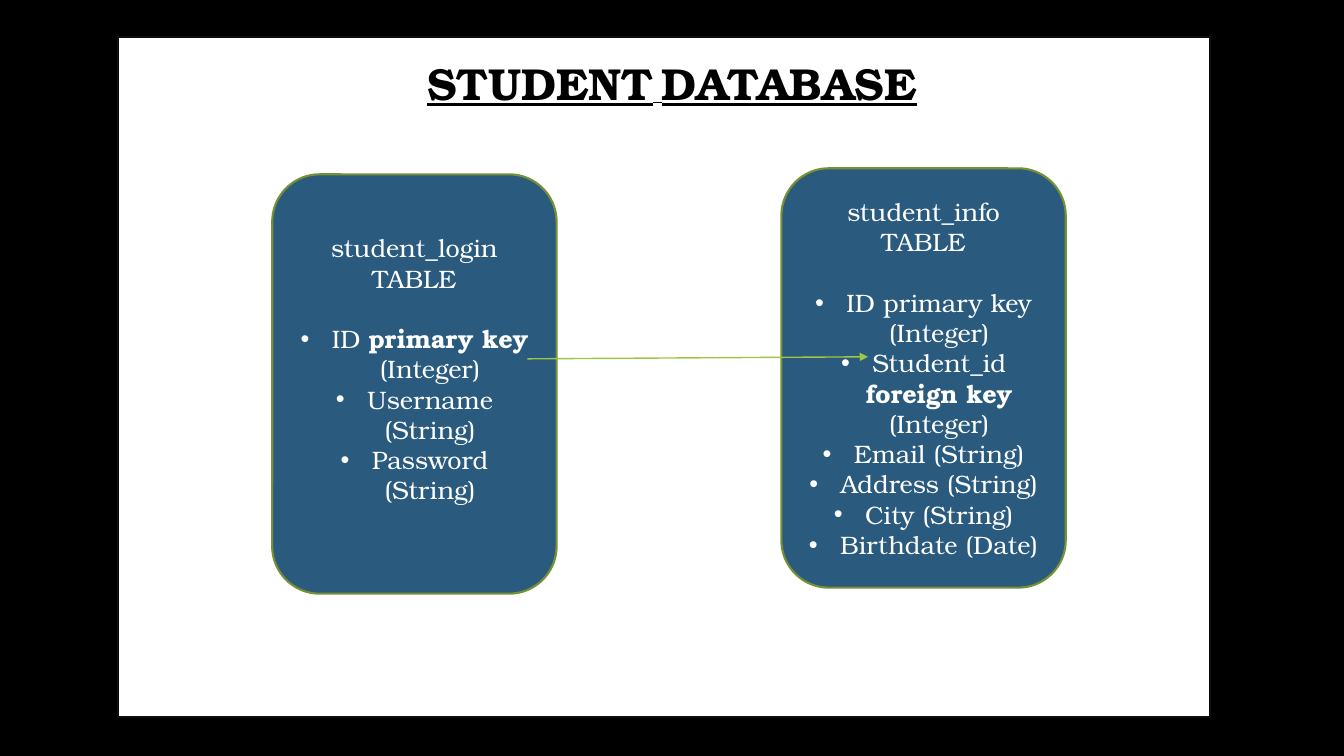
from pptx import Presentation
from pptx.dml.color import RGBColor
from pptx.enum.shapes import MSO_CONNECTOR, MSO_SHAPE
from pptx.enum.text import MSO_ANCHOR, PP_ALIGN
from pptx.oxml.ns import qn
from pptx.util import Inches, Pt
from lxml.etree import SubElement


def color(code):
    """Turn a hex string into a colour."""
    return RGBColor.from_string(code)


class Board:
    """Hold the style and the slide, and draw each kind of element."""

    font = "TeX Gyre Bonum"
    size = 18
    line = 21.6
    indent = 0.31
    blue, green, lime = "2A5B7F", "759232", "9EC544"
    white, black, edge = "FFFFFF", "000000", "0D0D0D"

    def __init__(self, deck):
        """Add a title-only slide with a black background."""
        self.slide = deck.slides.add_slide(deck.slide_layouts[5])
        fill = self.slide.background.fill
        fill.solid()
        fill.fore_color.rgb = color(self.black)

    def style(self, run, size, tint, bold=False):
        """Set the font of a run."""
        font = run.font
        font.name, font.size, font.bold = self.font, Pt(size), bold
        font.color.rgb = color(tint)

    def shape(self, kind, box, fill, line):
        """Draw a filled shape with an outline."""
        item = self.slide.shapes.add_shape(kind, *map(Inches, box))
        item.shadow.inherit = False
        item.fill.solid()
        item.fill.fore_color.rgb = color(fill)
        item.line.color.rgb = color(line)
        item.line.width = Pt(1.5)
        return item

    def title(self, words, box):
        """Place the underlined title in front of the panel."""
        item = self.slide.shapes.title
        self.slide.shapes._spTree.append(item._element)
        item.left, item.top, item.width, item.height = map(Inches, box)
        frame = item.text_frame
        frame.word_wrap = True
        frame.vertical_anchor = MSO_ANCHOR.TOP
        para = frame.paragraphs[0]
        para.alignment = PP_ALIGN.CENTER
        for part in words:
            run = para.add_run()
            run.text = part
            self.style(run, 32 if part.strip() else self.size, self.black, True)
            run.font.underline = True

    def bullet(self, para):
        """Give a paragraph a hanging bullet."""
        props = para._p.get_or_add_pPr()
        step = Inches(self.indent)
        props.set("marL", str(step))
        props.set("indent", str(-step))
        SubElement(props, qn("a:buFont"), typeface="Arial")
        SubElement(props, qn("a:buChar"), char="•")

    def table(self, left, top, name, fields, foot=0.05):
        """Draw a database table; stars enclose bold words."""
        box = left, top, 2.82, 4.16
        item = self.shape(MSO_SHAPE.ROUNDED_RECTANGLE, box, self.blue, self.green)
        frame = item.text_frame
        frame.word_wrap = True
        frame.vertical_anchor = MSO_ANCHOR.MIDDLE
        frame.margin_bottom = Inches(foot)
        head = frame.paragraphs[0]
        head.text = f"{name} TABLE"
        head.alignment = PP_ALIGN.CENTER
        head.space_after = Pt(self.line)
        self.style(head.runs[0], self.size, self.white)
        for field in fields:
            para = frame.add_paragraph()
            para.alignment = PP_ALIGN.CENTER
            self.bullet(para)
            for spot, part in enumerate(field.split("*")):
                run = para.add_run()
                run.text = part
                self.style(run, self.size, self.white, spot % 2 == 1)

    def arrow(self, *ends):
        """Draw a thin line with an arrowhead at its end."""
        item = self.slide.shapes.add_connector(
            MSO_CONNECTOR.STRAIGHT, *map(Inches, ends))
        item.line.color.rgb = color(self.lime)
        item.line.width = Pt(1)
        SubElement(item.line._get_or_add_ln(), qn("a:tailEnd"), type="triangle")
        SubElement(item._element.spPr, qn("a:effectLst"))


def main():
    """Build the student database slide."""
    deck = Presentation()
    deck.slide_width, deck.slide_height = Inches(13.33), Inches(7.5)
    board = Board(deck)
    board.shape(MSO_SHAPE.RECTANGLE, (1.17, 0.37, 10.83, 6.74),
                board.white, board.edge)
    board.table(2.7, 1.73, "student_login", [
        "ID *primary key *(Integer)",
        "Username (String)",
        "Password (String)",
    ], foot=0.35)
    board.table(7.75, 1.67, "student_info", [
        "ID primary key (Integer)",
        "Student_id *foreign key *(Integer)",
        "Email (String)",
        "Address (String)",
        "City (String)",
        "Birthdate (Date)",
    ])
    board.title(["STUDENT", " ", "DATABASE"], (3.58, 0.5, 6.17, 0.64))
    board.arrow(5.23, 3.56, 8.61, 3.54)
    deck.save("out.pptx")


if __name__ == "__main__":
    main()
